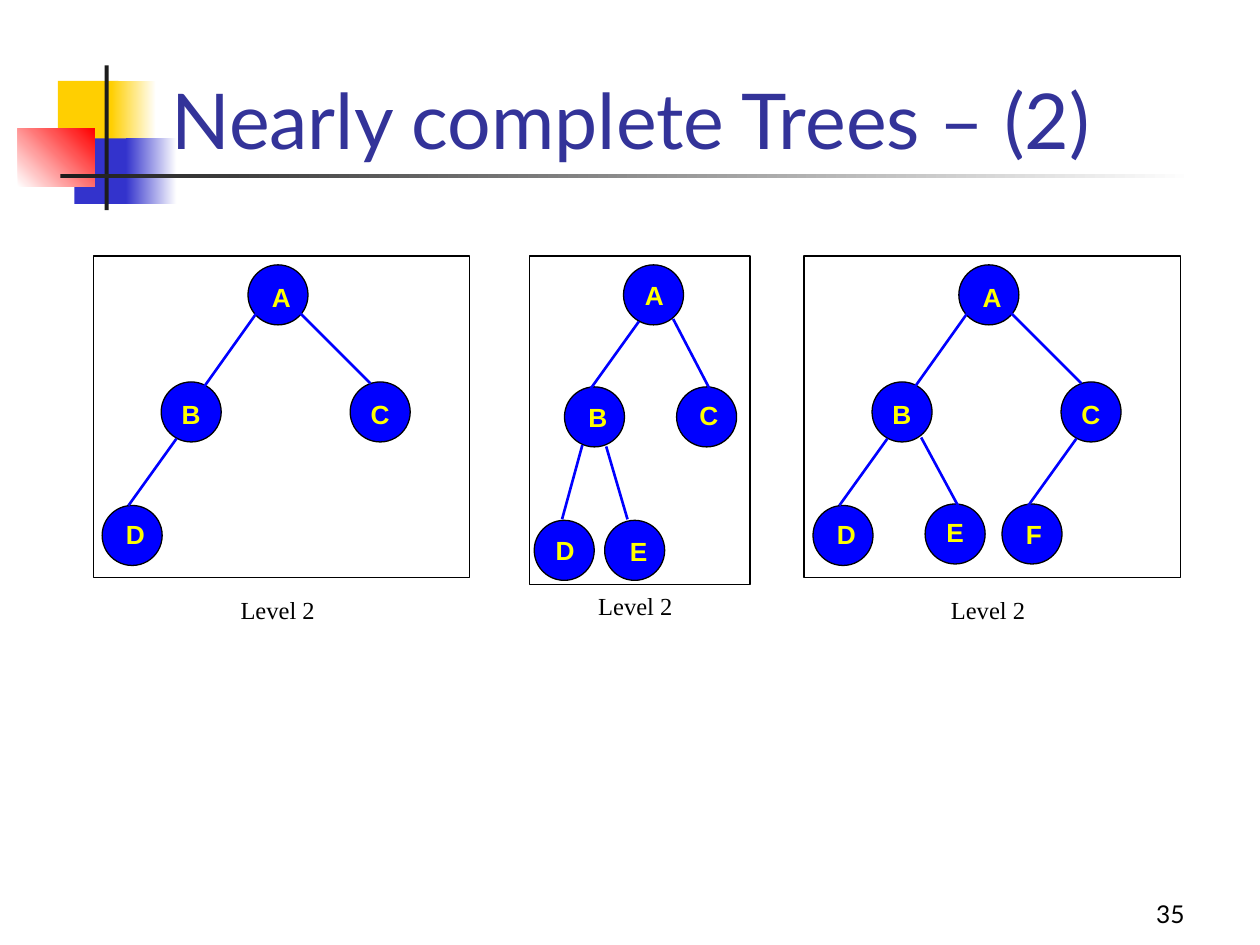
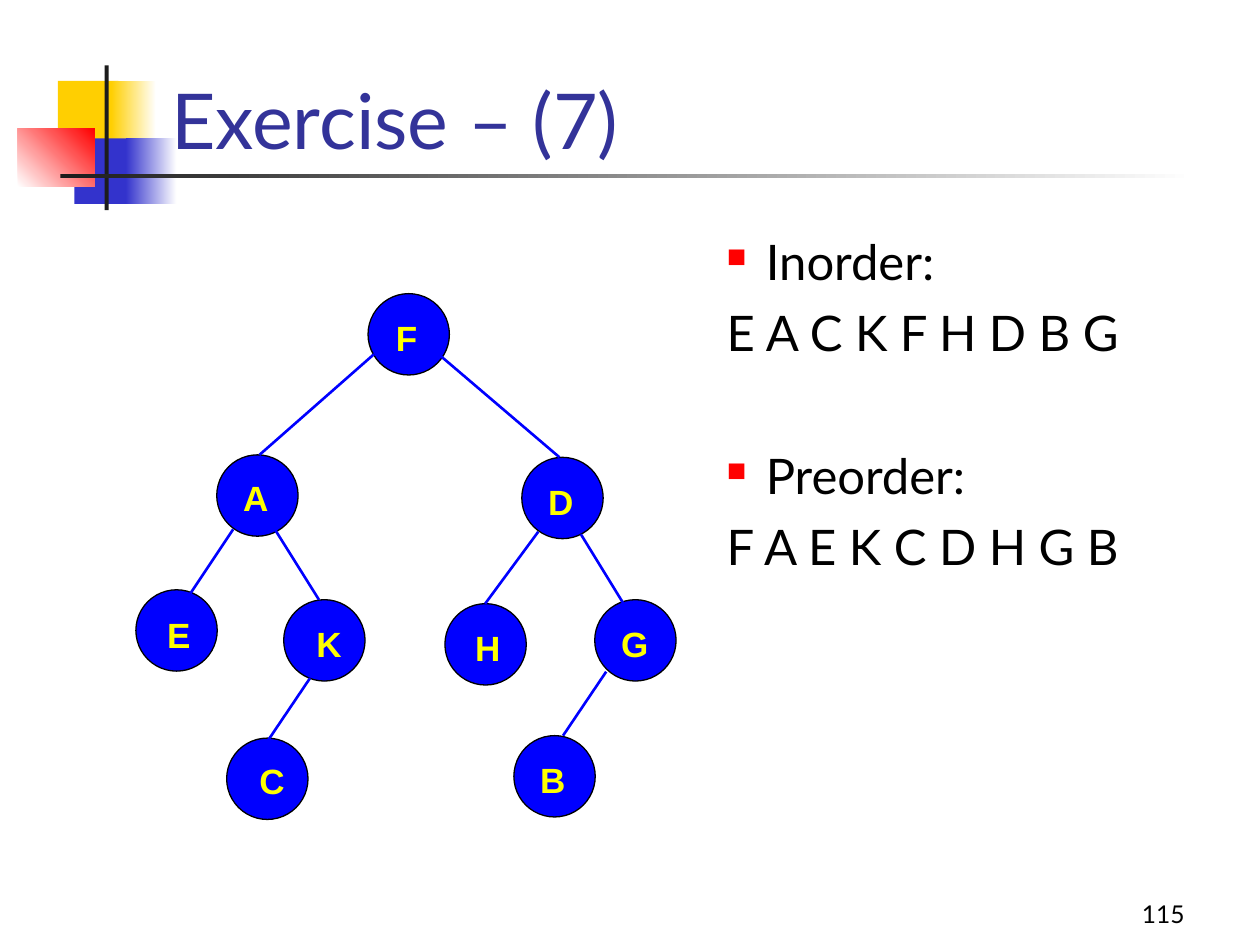
"""Build two slides about binary trees: nearly complete trees and a traversal exercise."""
from lxml import etree
from pptx import Presentation
from pptx.dml.color import RGBColor
from pptx.enum.shapes import MSO_CONNECTOR, MSO_SHAPE
from pptx.enum.text import MSO_ANCHOR, MSO_AUTO_SIZE, PP_ALIGN
from pptx.oxml.ns import qn
from pptx.util import Cm, Pt

BLACK = RGBColor(0x00, 0x00, 0x00)
WHITE = RGBColor(0xFF, 0xFF, 0xFF)
CHARCOAL = RGBColor(0x1C, 0x1C, 0x1C)
GOLD = RGBColor(0xFF, 0xCF, 0x01)
INDIGO = RGBColor(0x33, 0x33, 0xCC)
RED = RGBColor(0xFF, 0x00, 0x00)
TITLE_BLUE = RGBColor(0x33, 0x33, 0x99)
NODE_BLUE = RGBColor(0x00, 0x00, 0xFF)
LABEL_YELLOW = RGBColor(0xFF, 0xFF, 0x00)

ORNAMENTS = [
    (1.17, 1.63, 1.22, 1.32, (GOLD,), 0),
    (2.24, 1.63, 0.91, 1.32, (GOLD, WHITE), 0),
    (1.5, 2.79, 1.17, 1.32, (INDIGO,), 0),
    (2.54, 2.79, 1.02, 1.32, (INDIGO, WHITE), 0),
    (0.36, 2.59, 1.55, 1.17, (WHITE, RED), 45),
    (2.11, 1.32, 0.08, 2.92, (CHARCOAL,), 0),
    (1.22, 3.51, 22.86, 0.08, (CHARCOAL, WHITE), 0),
]


def add_text(page, left, top, width, height, text, size, font, color, inset=(0.25, 0.13)):
    """Add a text box with one uniformly styled paragraph and return it."""
    box = page.shapes.add_textbox(Cm(left), Cm(top), Cm(width), Cm(height))
    frame = box.text_frame
    frame.word_wrap = True
    frame.margin_left = frame.margin_right = Cm(inset[0])
    frame.margin_top = frame.margin_bottom = Cm(inset[1])
    para = frame.paragraphs[0]
    para.text = text
    para.font.size = Pt(size)
    para.font.name = font
    para.font.color.rgb = color
    return box


def add_tree(page, left, top, diameter, size, label_box, inset, nodes, edges):
    """Draw labelled nodes (letter, x, y, label offset) and edges from one corner."""
    for letter, x, y, shift_x, shift_y in nodes:
        node = page.shapes.add_shape(
            MSO_SHAPE.FLOWCHART_CONNECTOR, Cm(left + x), Cm(top + y), Cm(diameter), Cm(diameter))
        node.shadow.inherit = False
        node.fill.solid()
        node.fill.fore_color.rgb = NODE_BLUE
        node.line.color.rgb = BLACK
        node.line.width = Pt(0.75)
        label = add_text(page, left + x + shift_x, top + y + shift_y, *label_box,
                         letter, size, "Arial", LABEL_YELLOW, inset)
        label.text_frame.paragraphs[0].font.bold = True
    for x1, y1, x2, y2 in edges:
        edge = page.shapes.add_connector(
            MSO_CONNECTOR.STRAIGHT, Cm(left + x1), Cm(top + y1), Cm(left + x2), Cm(top + y2))
        edge.line.color.rgb = NODE_BLUE
        edge.line.width = Pt(1.5)
        etree.SubElement(edge.element.spPr, qn("a:effectLst"))


deck = Presentation()
deck.slide_width, deck.slide_height = Cm(25.4), Cm(19.05)

pages = []
for heading, number in [("Nearly complete Trees – (2)", "35"), ("Exercise – (7)", "115")]:
    page = deck.slides.add_slide(deck.slide_layouts[5])
    pages.append(page)
    for left, top, width, height, colors, angle in ORNAMENTS:
        ornament = page.shapes.add_shape(
            MSO_SHAPE.RECTANGLE, Cm(left), Cm(top), Cm(width), Cm(height))
        ornament.shadow.inherit = False
        ornament.line.fill.background()
        if len(colors) == 1:
            ornament.fill.solid()
            ornament.fill.fore_color.rgb = colors[0]
        else:
            ornament.fill.gradient()
            ornament.fill.gradient_angle = angle
            for stop, color in zip(ornament.fill.gradient_stops, colors):
                stop.color.rgb = color

    title = page.shapes.title
    page.shapes.element.append(title.element)
    title.left, title.top, title.width, title.height = Cm(3.2), Cm(0.28), Cm(21.64), Cm(3.18)
    title.text_frame.text = heading
    title.text_frame.auto_size = MSO_AUTO_SIZE.NONE
    title.text_frame.vertical_anchor = MSO_ANCHOR.BOTTOM
    para = title.text_frame.paragraphs[0]
    para.alignment = PP_ALIGN.LEFT
    para.font.size = Pt(44)
    para.font.name = "Lato"
    para.font.color.rgb = TITLE_BLUE

    footer = add_text(page, 18.85, 17.58, 5.28, 1.27, number, 14, "Lato", BLACK)
    footer.text_frame.vertical_anchor = MSO_ANCHOR.BOTTOM
    footer.text_frame.paragraphs[0].alignment = PP_ALIGN.RIGHT

trees_page, exercise_page = pages

wide_nodes = [
    ("A", 3.12, 0.18, 0.15, 0.18),
    ("B", 1.37, 2.54, 0.08, 0.18),
    ("C", 5.18, 2.54, 0.08, 0.18),
    ("D", 0.18, 5.03, 0.15, 0.1),
    ("E", 2.44, 5.0, 0.1, 0.1),
    ("F", 3.99, 5.0, 0.15, 0.13),
]
wide_edges = [
    (3.3, 1.14, 2.21, 2.67),
    (4.14, 1.12, 5.59, 2.57),
    (1.68, 3.68, 0.71, 5.03),
    (2.36, 3.66, 3.1, 5.03),
    (5.49, 3.68, 4.52, 5.03),
]
narrow_nodes = [
    ("A", 1.9, 0.18, 0.1, 0.15),
    ("B", 0.71, 2.64, 0.15, 0.13),
    ("C", 2.97, 2.64, 0.13, 0.1),
    ("D", 0.1, 5.33, 0.1, 0.13),
    ("E", 1.52, 5.33, 0.18, 0.15),
]
narrow_edges = [
    (2.21, 1.32, 1.24, 2.67),
    (2.9, 1.27, 3.63, 2.67),
    (1.07, 3.81, 0.66, 5.31),
    (1.55, 3.84, 1.98, 5.31),
]
frame_top = 5.16
for left, width, height, caption_left, caption_top, nodes, edges in [
    (1.88, 7.59, 6.48, 4.6, 11.86, wide_nodes[:4], wide_edges[:3]),
    (10.67, 4.45, 6.63, 11.81, 11.79, narrow_nodes, narrow_edges),
    (16.21, 7.59, 6.48, 18.92, 11.86, wide_nodes, wide_edges),
]:
    border = trees_page.shapes.add_shape(
        MSO_SHAPE.RECTANGLE, Cm(left), Cm(frame_top), Cm(width), Cm(height))
    border.shadow.inherit = False
    border.fill.solid()
    border.fill.fore_color.rgb = WHITE
    border.line.color.rgb = BLACK
    border.line.width = Pt(0.75)
    add_tree(trees_page, left, frame_top, 1.21, 15, (0.97, 0.89), (0.33, 0.15), nodes, edges)
    caption = add_text(trees_page, caption_left, caption_top, 2.01, 0.86,
                       "Level 2", 14, "Times New Roman", BLACK)
    caption.text_frame.word_wrap = False

exercise_nodes = [
    ("F", 7.42, 5.92, 0.13, 0.23),
    ("A", 4.37, 9.17, 0.1, 0.2),
    ("D", 10.52, 9.22, 0.1, 0.23),
    ("E", 2.74, 11.89, 0.2, 0.25),
    ("K", 5.72, 12.09, 0.23, 0.23),
    ("H", 8.97, 12.17, 0.18, 0.23),
    ("G", 11.99, 12.09, 0.1, 0.23),
    ("C", 4.57, 14.88, 0.23, 0.2),
    ("B", 10.36, 14.83, 0.1, 0.23),
]
exercise_edges = [
    (7.54, 7.14, 5.23, 9.17),
    (8.84, 7.14, 11.28, 9.22),
    (4.7, 10.67, 3.84, 11.96),
    (5.54, 10.67, 6.43, 12.09),
    (10.85, 10.72, 9.78, 12.17),
    (11.71, 10.77, 12.57, 12.17),
    (6.25, 13.67, 5.38, 14.96),
    (12.22, 13.54, 11.35, 14.83),
]
add_tree(exercise_page, 0, 0, 1.64, 20, (1.32, 1.19), (0.43, 0.23), exercise_nodes, exercise_edges)

orders = exercise_page.shapes.add_textbox(Cm(13.13), Cm(4.55), Cm(11.73), Cm(12.47))
orders.text_frame.word_wrap = True
for index, (text, space, bulleted) in enumerate([
    ("Inorder:", 0, True),
    ("E A C K F H D B G", 7, False),
    ("Preorder:", 48, True),
    ("F A E K C D H G B", 7, False),
]):
    para = orders.text_frame.paragraphs[0] if index == 0 else orders.text_frame.add_paragraph()
    para.text = text
    properties = para._p.get_or_add_pPr()
    properties.set("marL", str(Cm(2.06)))
    properties.set("indent", str(Cm(-0.79)))
    if bulleted:
        bullet_color = etree.SubElement(properties, qn("a:buClr"))
        etree.SubElement(bullet_color, qn("a:srgbClr"), val=str(RED))
        etree.SubElement(properties, qn("a:buSzPct"), val="55000")
        etree.SubElement(properties, qn("a:buChar"), char="■")
    para.space_before = Pt(space)
    para.font.size = Pt(28)
    para.font.name = "Lato"
    para.font.color.rgb = BLACK

deck.save("out.pptx")
